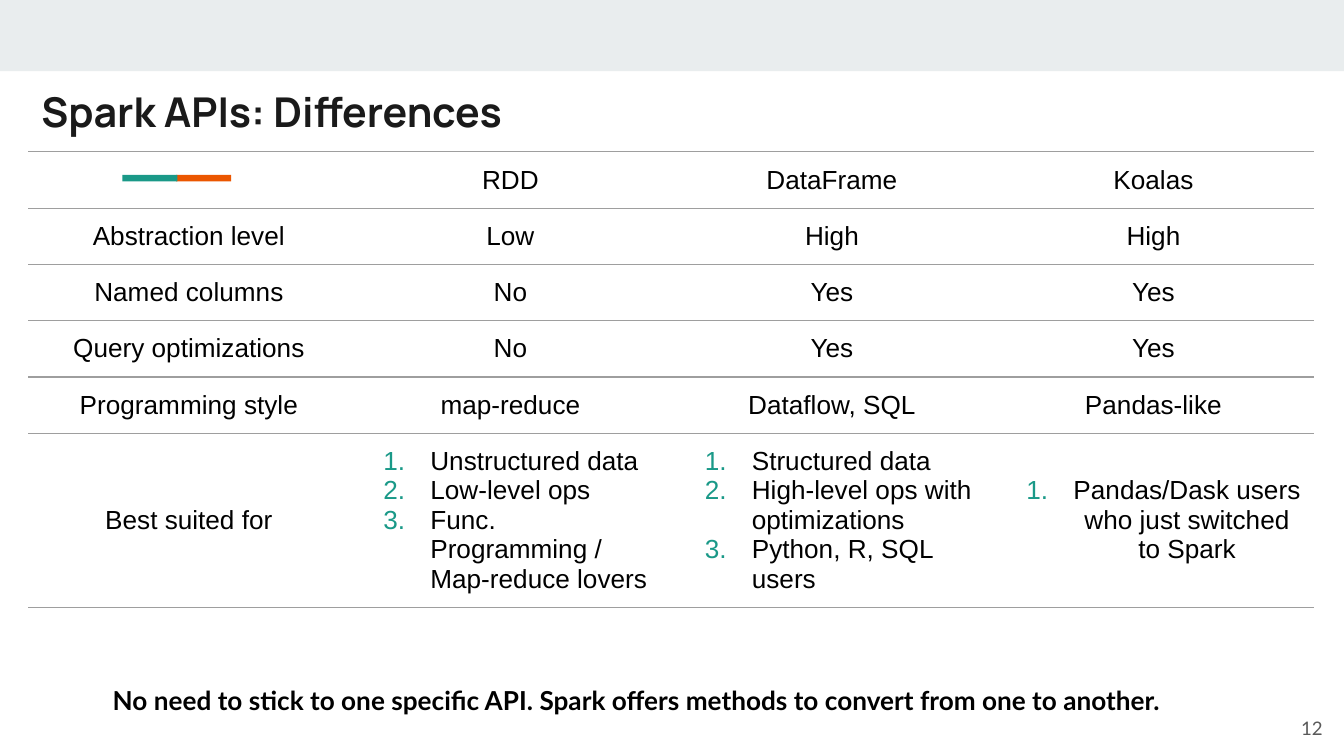
from lxml import etree
from pptx import Presentation
from pptx.dml.color import RGBColor
from pptx.enum.shapes import MSO_SHAPE as Shape
from pptx.enum.text import MSO_ANCHOR as Anchor, PP_ALIGN as Align
from pptx.oxml import parse_xml
from pptx.oxml.ns import nsdecls, qn
from pptx.util import Inches, Pt


def color(value):
    return RGBColor.from_string(value)


def write(frame, text, font="Arial", size=14, fill="000000", bold=False,
          align=Align.LEFT, anchor=Anchor.TOP, numbered=False):
    frame.word_wrap = True
    frame.vertical_anchor = anchor
    for index, line in enumerate(text.split("\n")):
        paragraph = frame.paragraphs[0] if index == 0 else frame.add_paragraph()
        paragraph.alignment = align
        run = paragraph.add_run()
        run.text = line
        run.font.name = font
        run.font.size = Pt(size)
        run.font.bold = bold
        run.font.color.rgb = color(fill)
        if numbered:
            properties = paragraph._p.get_or_add_pPr()
            properties.set("marL", str(Inches(0.5)))
            properties.set("indent", str(Inches(-0.35)))
            bullet_color = etree.SubElement(properties, qn("a:buClr"))
            etree.SubElement(bullet_color, qn("a:srgbClr"), val="1A9988")
            etree.SubElement(properties, qn("a:buAutoNum"), type="arabicPeriod")


presentation = Presentation()
presentation.slide_width = Inches(10)
presentation.slide_height = Inches(10 * 9 / 16)
slide = presentation.slides.add_slide(presentation.slide_layouts[6])

for left, top, width, height, rotation, fill in [
    (0, 0, 10, 0.53, 0, "E9EDEE"),
    (1.49, 1.12, 0.05, 0.41, 270, "EB5600"),
    (1.09, 1.12, 0.05, 0.41, 270, "1A9988"),
]:
    bar = slide.shapes.add_shape(
        Shape.RECTANGLE, Inches(left), Inches(top), Inches(width), Inches(height))
    bar.rotation = rotation
    bar.shadow.inherit = False
    bar.fill.solid()
    bar.fill.fore_color.rgb = color(fill)
    bar.line.fill.background()

rows = [
    ["", "RDD", "DataFrame", "Koalas"],
    ["Abstraction level", "Low", "High", "High"],
    ["Named columns", "No", "Yes", "Yes"],
    ["Query optimizations", "No", "Yes", "Yes"],
    ["Programming style", "map-reduce", "Dataflow, SQL", "Pandas-like"],
    ["Best suited for",
     "Unstructured data\nLow-level ops\nFunc. Programming / Map-reduce lovers",
     "Structured data\nHigh-level ops with optimizations\nPython, R, SQL users",
     "Pandas/Dask users who just switched to Spark"],
]
last_row = len(rows) - 1
table = slide.shapes.add_table(
    len(rows), 4, Inches(0.21), Inches(1.13), Inches(9.57), Inches(3.53)).table
table.first_row = False
table.horz_banding = False
for column in table.columns:
    column.width = Inches(9.57 / 4)

gray_line = '<a:solidFill><a:srgbClr val="9E9E9E"/></a:solidFill>'
borders = {"lnL": "<a:noFill/>", "lnR": "<a:noFill/>", "lnT": gray_line, "lnB": gray_line}
for row_index, texts in enumerate(rows):
    table.rows[row_index].height = Inches(1.21 if row_index == last_row else 0.39)
    for column_index, text in enumerate(texts):
        cell = table.cell(row_index, column_index)
        cell.fill.background()
        cell.vertical_anchor = Anchor.MIDDLE
        cell.margin_left = cell.margin_right = Inches(0.1)
        cell.margin_top = cell.margin_bottom = Inches(0.1 if text else 0)
        for position, (side, line_fill) in enumerate(borders.items()):
            cell._tc.get_or_add_tcPr().insert(position, parse_xml(
                f'<a:{side} {nsdecls("a")} w="{Pt(0.75)}">{line_fill}</a:{side}>'))
        if text:
            write(cell.text_frame, text, anchor=Anchor.MIDDLE,
                  align=Align.LEFT if "\n" in text else Align.CENTER,
                  numbered=row_index == last_row and column_index > 0)

for text, left, top, width, height, style in [
    ("Spark APIs: Differences", 0.21, 0.54, 8.41, 0.59,
     dict(font="Manrope", size=22, fill="1A1A1A", bold=True)),
    ("No need to stick to one specific API. Spark offers methods to convert "
     "from one to another.", 0.74, 4.99, 8.71, 0.44, dict(font="Lato", bold=True)),
    ("12", 9.57, 5.23, 0.37, 0.37,
     dict(font="Lato", size=10, fill="595959", align=Align.RIGHT, anchor=Anchor.MIDDLE)),
]:
    frame = slide.shapes.add_textbox(
        Inches(left), Inches(top), Inches(width), Inches(height)).text_frame
    frame.margin_left = frame.margin_right = Inches(0.1)
    frame.margin_top = frame.margin_bottom = Inches(0.1)
    write(frame, text, **style)

presentation.save("out.pptx")
